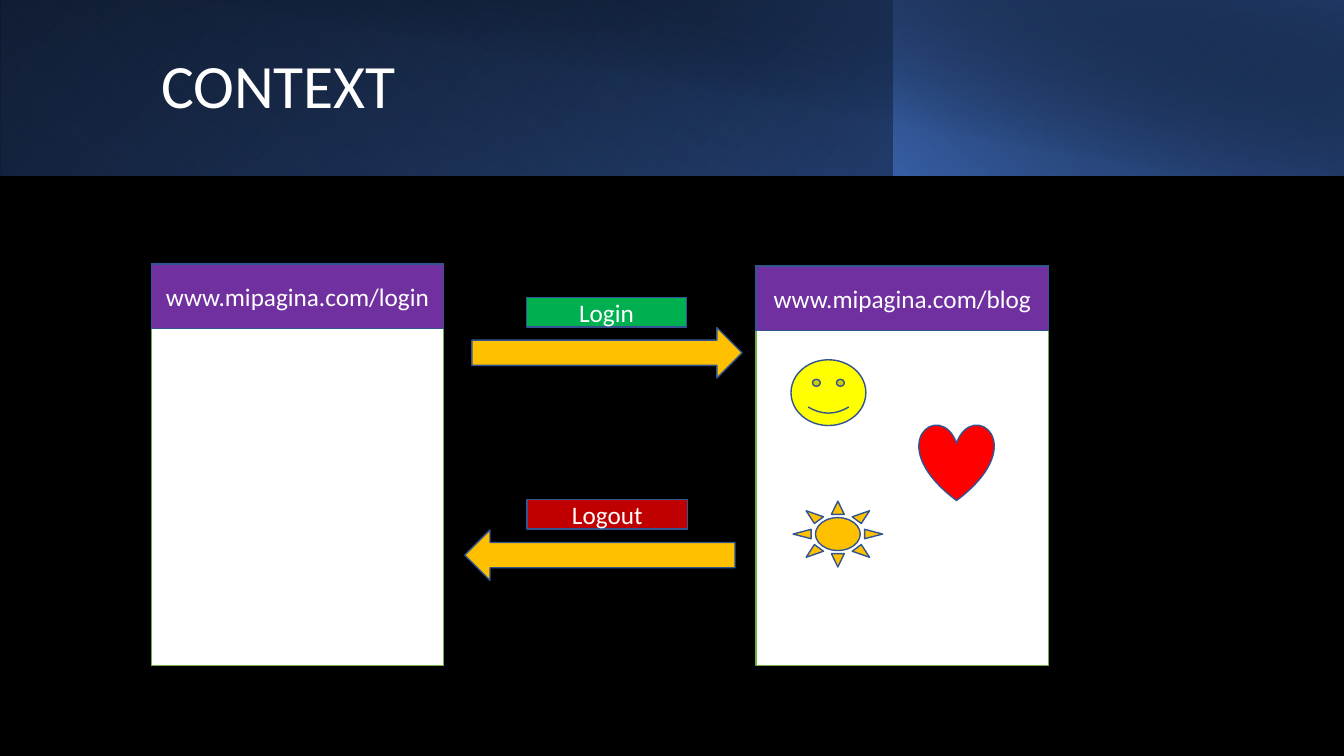
import pptx
import pptx.dml.color
import pptx.enum.shapes
import pptx.enum.text
import pptx.oxml.ns
import pptx.util
import lxml.etree

Pt = pptx.util.Pt
SHAPE = pptx.enum.shapes.MSO_SHAPE
ALIGN = pptx.enum.text.PP_ALIGN
qn = pptx.oxml.ns.qn


def rgb(value):
    return pptx.dml.color.RGBColor.from_string(value)


class Deck:
    """Holds the slide and its style, and draws each kind of element."""

    font = "Calibri"
    white = "FFFFFF"
    outline = "325491"

    def __init__(self, prs, background):
        self.s = prs.slides.add_slide(prs.slide_layouts[6])
        fill = self.s.background.fill
        fill.solid()
        fill.fore_color.rgb = rgb(background)

    def label(self, sp, text, size, align):
        tf = sp.text_frame
        tf.text = text
        tf.word_wrap = True
        tf.vertical_anchor = pptx.enum.text.MSO_ANCHOR.MIDDLE
        p = tf.paragraphs[0]
        p.alignment = align
        r = p.runs[0]
        r.font.name = self.font
        r.font.size = Pt(size)
        r.font.color.rgb = rgb(self.white)
        return p

    def title(self, text, x, y, w, h):
        sp = self.s.shapes.add_textbox(Pt(x), Pt(y), Pt(w), Pt(h))
        p = self.label(sp, text, 44, ALIGN.LEFT)
        p.line_spacing = 0.9

    def add(self, kind, x, y, w, h, rotation=0):
        sp = self.s.shapes.add_shape(kind, Pt(x), Pt(y), Pt(w), Pt(h))
        sp.shadow.inherit = False
        sp.rotation = rotation
        return sp

    def shape(self, kind, x, y, w, h, fill, line=outline, text=None, rotation=0):
        sp = self.add(kind, x, y, w, h, rotation)
        sp.fill.solid()
        sp.fill.fore_color.rgb = rgb(fill)
        sp.line.color.rgb = rgb(line)
        sp.line.width = Pt(1)
        if text:
            self.label(sp, text, 18, ALIGN.CENTER)

    def gradient(self, x, w, h, stops, angle, rotation=0, flip=True):
        sp = self.add(SHAPE.RECTANGLE, x, 0, w, h, rotation)
        sp.line.fill.background()
        sp.fill.gradient()
        sp.fill.gradient_angle = 360 - angle
        for stop, (position, color, _) in zip(sp.fill.gradient_stops, stops):
            stop.position = position / 100
            stop.color.rgb = rgb(color)
        spPr = sp.element.spPr
        for clr, (_, _, opacity) in zip(spPr.iter(qn("a:srgbClr")), stops):
            alpha = lxml.etree.SubElement(clr, qn("a:alpha"))
            alpha.set("val", str(opacity * 1000))
        if flip:
            spPr.find(qn("a:xfrm")).set("flipH", "1")


def main():
    prs = pptx.Presentation()
    prs.slide_width, prs.slide_height = Pt(960), Pt(540)
    deck = Deck(prs, "000000")

    deck.gradient(0, 960, 125.5, [(0, "000000", 100), (100, "2F5597", 100)], 140)
    deck.gradient(0, 639, 125.5, [(20, "4472C4", 0), (100, "203864", 55)], 230, rotation=180)
    deck.gradient(638.5, 321.5, 125.5, [(0, "4472C4", 66), (100, "000000", 30)], 220)
    deck.gradient(36, 924, 126, [(50, "000000", 0), (99, "203864", 52)], 280, flip=False)
    deck.title("CONTEXT", 108, 23, 779, 81)

    bottom = 475.5
    for x, y, address in [(108, 188.5, "www.mipagina.com/login"),
                          (540, 190, "www.mipagina.com/blog")]:
        deck.shape(SHAPE.RECTANGLE, x, y, 209, bottom - y, deck.white, "70AD47")
        deck.shape(SHAPE.RECTANGLE, x, y, 209, 46, "7030A0", text=address)

    for x, y, action, action_x, color, rotation in [
            (337, 234, "Login", 376, "00B050", 0),
            (332, 378.5, "Logout", 376.5, "C00000", 180)]:
        deck.shape(SHAPE.RIGHT_ARROW, x, y, 193, 36, "FFC000", rotation=rotation)
        deck.shape(SHAPE.RECTANGLE, action_x, y - 21.5, 114.5, 21, color, text=action)

    deck.shape(SHAPE.SMILEY_FACE, 565, 257, 53.5, 47, "FFFF00")
    deck.shape(SHAPE.HEART, 656.5, 303, 53.5, 54.5, "FF0000")
    deck.shape(SHAPE.SUN, 566.5, 358, 64, 47, "FFC000")

    prs.save("out.pptx")


if __name__ == "__main__":
    main()
